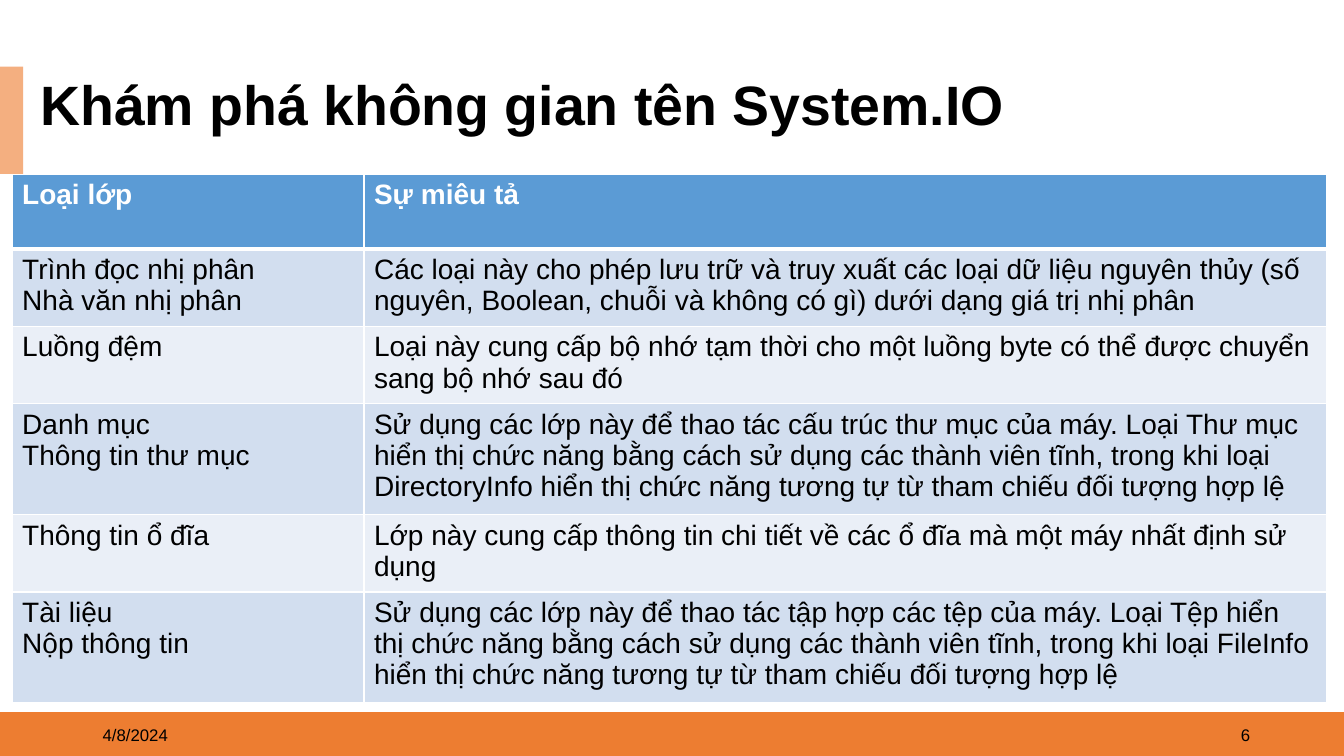
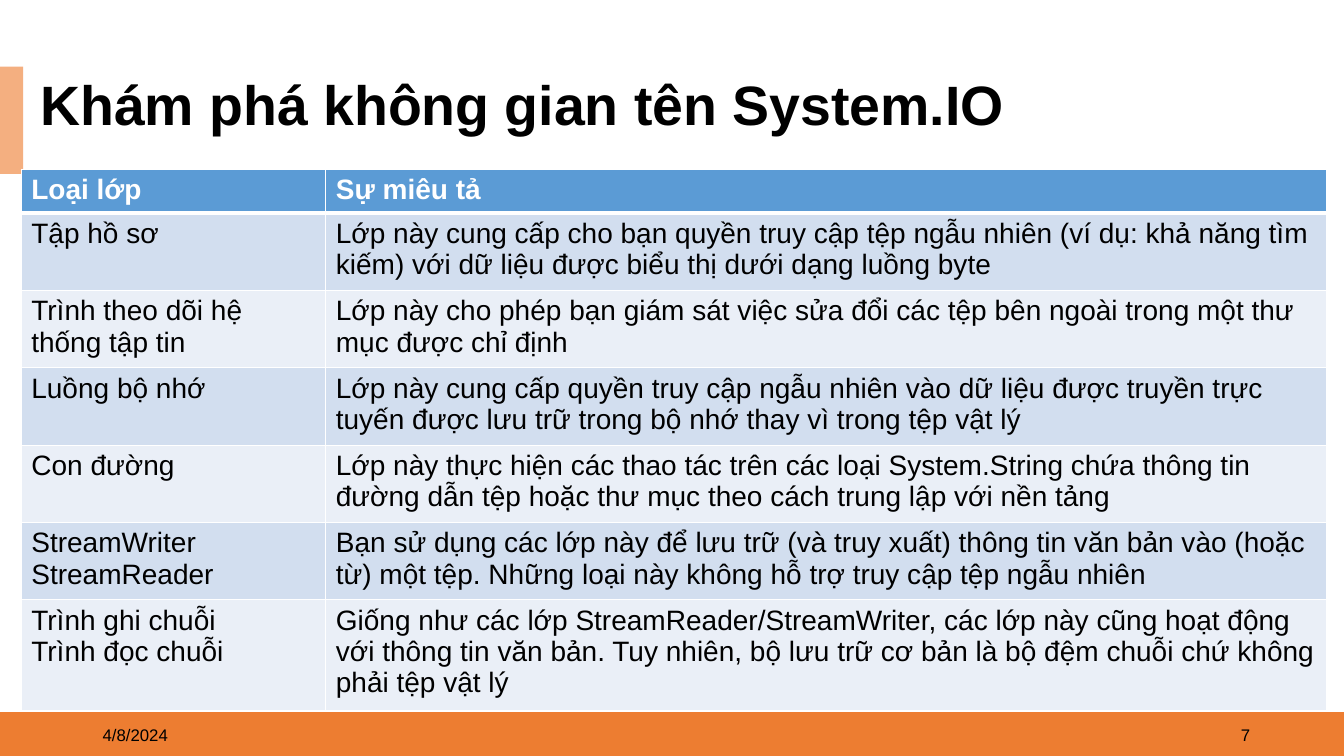
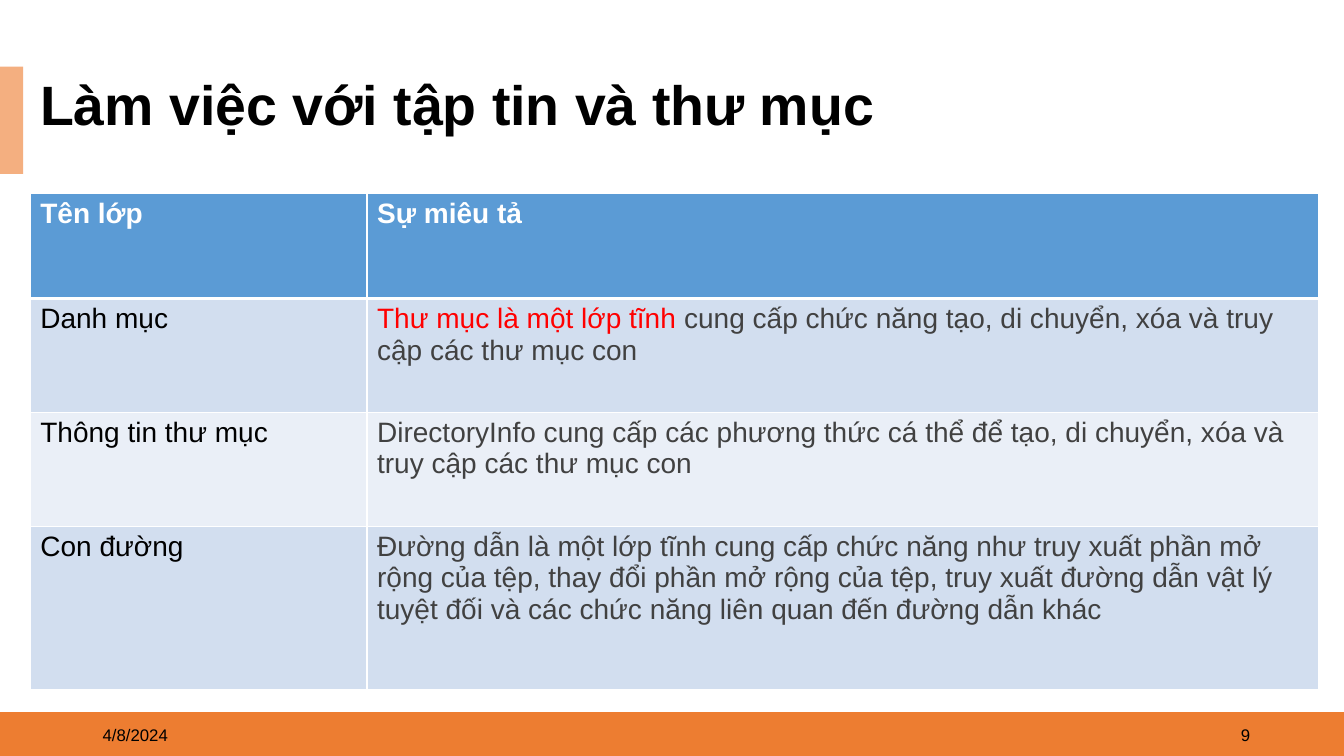
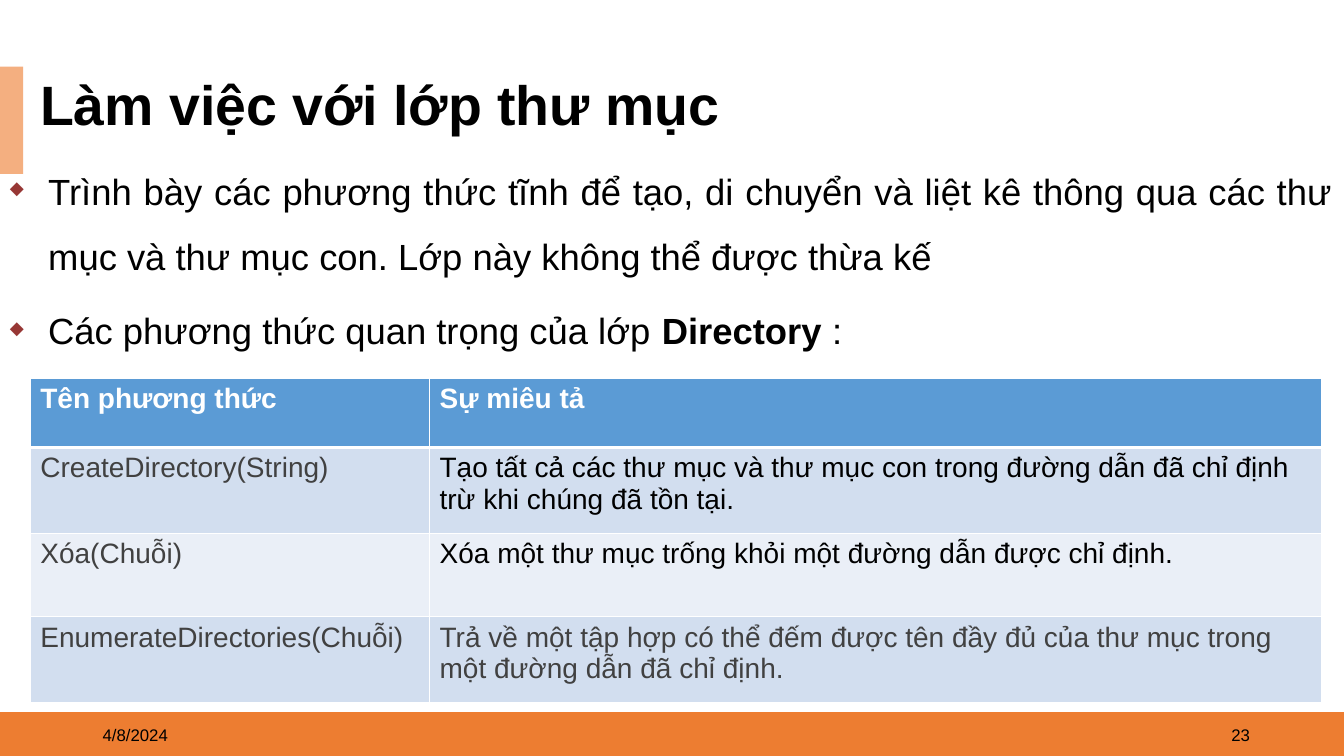
from lxml import etree
from pptx import Presentation
from pptx.dml.color import RGBColor
from pptx.enum.shapes import MSO_SHAPE
from pptx.enum.text import MSO_ANCHOR, PP_ALIGN
from pptx.oxml.ns import qn
from pptx.util import Inches, Pt

RECTANGLE = MSO_SHAPE.RECTANGLE
MIDDLE = MSO_ANCHOR.MIDDLE
LEFT, RIGHT, JUSTIFY = PP_ALIGN.LEFT, PP_ALIGN.RIGHT, PP_ALIGN.JUSTIFY

FONT = "Arial"
WHITE, BLACK, GRAY, RED = "FFFFFF", "000000", "414141", "FF0000"
ORANGE, PEACH, BULLET = "ED7D31", "F4AF80", "973735"
HEADER, STRIPES = "5B9BD5", ("EAEFF7", "D2DEEF")
WIDTH, HEIGHT = Inches(13.33), Inches(7.5)


def share(left, top, width, height):
    return [int(part * whole / 100) for part, whole in
            zip((left, top, width, height), (WIDTH, HEIGHT, WIDTH, HEIGHT))]


def add_span(para, text, size, color, bold=False):
    span = para.add_run()
    span.text = text
    span.font.name = FONT
    span.font.size = Pt(size)
    span.font.bold = bold
    span.font.color.rgb = RGBColor.from_string(color)


BANDS = [((0, 94.2, 100, 5.8), ORANGE), ((0, 8.8, 1.72, 14.2), PEACH)]
DATE = "4/8/2024"

EXPLORE = "Khám phá không gian tên System.IO"
DESCRIPTION = "Sự miêu tả"

PAGES = [
    {
        "number": "6", "title": EXPLORE, "title_width": 77,
        "corner": (0.9, 23.07), "columns": (26.18, 71.64),
        "rows": (9.87, 9.87, 9.87, 14.13, 9.87, 14.13),
        "cells": [
            ("Loại lớp", DESCRIPTION),
            ("Trình đọc nhị phân\nNhà văn nhị phân",
             "Các loại này cho phép lưu trữ và truy xuất các loại dữ liệu nguyên thủy (số nguyên, Boolean, chuỗi và không có gì) dưới dạng giá trị nhị phân"),
            ("Luồng đệm",
             "Loại này cung cấp bộ nhớ tạm thời cho một luồng byte có thể được chuyển sang bộ nhớ sau đó"),
            ("Danh mục\nThông tin thư mục",
             "Sử dụng các lớp này để thao tác cấu trúc thư mục của máy. Loại Thư mục hiển thị chức năng bằng cách sử dụng các thành viên tĩnh, trong khi loại DirectoryInfo hiển thị chức năng tương tự từ tham chiếu đối tượng hợp lệ"),
            ("Thông tin ổ đĩa",
             "Lớp này cung cấp thông tin chi tiết về các ổ đĩa mà một máy nhất định sử dụng"),
            ("Tài liệu\nNộp thông tin",
             "Sử dụng các lớp này để thao tác tập hợp các tệp của máy. Loại Tệp hiển thị chức năng bằng cách sử dụng các thành viên tĩnh, trong khi loại FileInfo hiển thị chức năng tương tự từ tham chiếu đối tượng hợp lệ"),
        ],
    },
    {
        "number": "7", "title": EXPLORE, "title_width": 77,
        "corner": (1.58, 22.4), "columns": (22.66, 74.49),
        "rows": (5.47, 9.6, 9.6, 9.6, 9.6, 9.6, 13.73),
        "cells": [
            ("Loại lớp", DESCRIPTION),
            ("Tập hồ sơ",
             "Lớp này cung cấp cho bạn quyền truy cập tệp ngẫu nhiên (ví dụ: khả năng tìm kiếm) với dữ liệu được biểu thị dưới dạng luồng byte"),
            ("Trình theo dõi hệ thống tập tin",
             "Lớp này cho phép bạn giám sát việc sửa đổi các tệp bên ngoài trong một thư mục được chỉ định"),
            ("Luồng bộ nhớ",
             "Lớp này cung cấp quyền truy cập ngẫu nhiên vào dữ liệu được truyền trực tuyến được lưu trữ trong bộ nhớ thay vì trong tệp vật lý"),
            ("Con đường",
             "Lớp này thực hiện các thao tác trên các loại System.String chứa thông tin đường dẫn tệp hoặc thư mục theo cách trung lập với nền tảng"),
            ("StreamWriter StreamReader",
             "Bạn sử dụng các lớp này để lưu trữ (và truy xuất) thông tin văn bản vào (hoặc từ) một tệp. Những loại này không hỗ trợ truy cập tệp ngẫu nhiên"),
            ("Trình ghi chuỗi\nTrình đọc chuỗi",
             "Giống như các lớp StreamReader/StreamWriter, các lớp này cũng hoạt động với thông tin văn bản. Tuy nhiên, bộ lưu trữ cơ bản là bộ đệm chuỗi chứ không phải tệp vật lý"),
        ],
    },
    {
        "number": "9", "title": "Làm việc với tập tin và thư mục", "title_width": 72.9,
        "corner": (2.25, 25.6), "columns": (25.06, 70.82),
        "rows": (13.87, 15.07, 15.07, 21.6),
        "cells": [
            ("Tên lớp", DESCRIPTION),
            ("Danh mục",
             [("Thư mục là một lớp tĩnh ", RED),
              ("cung cấp chức năng tạo, di chuyển, xóa và truy cập các thư mục con", GRAY)]),
            ("Thông tin thư mục",
             [("DirectoryInfo cung cấp các phương thức cá thể để tạo, di chuyển, xóa và truy cập các thư mục con", GRAY)]),
            ("Con đường",
             [("Đường dẫn là một lớp tĩnh cung cấp chức năng như truy xuất phần mở rộng của tệp, thay đổi phần mở rộng của tệp, truy xuất đường dẫn vật lý tuyệt đối và các chức năng liên quan đến đường dẫn khác", GRAY)]),
        ],
    },
    {
        "number": "23", "title": "Làm việc với lớp thư mục", "title_width": 67.7,
        "bullets": [
            [("Trình bày các phương thức tĩnh để tạo, di chuyển và liệt kê thông qua các thư mục và thư mục con. Lớp này không thể được thừa kế", False)],
            [("Các phương thức quan trọng của lớp ", False), ("Directory ", True), (":", False)],
        ],
        "corner": (2.25, 50), "columns": (29.71, 66.39),
        "rows": (9.2, 11.33, 11.07, 11.33),
        "cells": [
            ("Tên phương thức", DESCRIPTION),
            ([("CreateDirectory(String)", GRAY)],
             "Tạo tất cả các thư mục và thư mục con trong đường dẫn đã chỉ định trừ khi chúng đã tồn tại."),
            ([("Xóa(Chuỗi)", GRAY)],
             "Xóa một thư mục trống khỏi một đường dẫn được chỉ định."),
            ([("EnumerateDirectories(Chuỗi)", GRAY)],
             [("Trả về một tập hợp có thể đếm được tên đầy đủ của thư mục trong một đường dẫn đã chỉ định.", GRAY)]),
        ],
    },
]

deck = Presentation()
deck.slide_width, deck.slide_height = WIDTH, HEIGHT
blank = deck.slide_layouts[6]

for content in PAGES:
    page = deck.slides.add_slide(blank)

    for place, color in BANDS:
        band = page.shapes.add_shape(RECTANGLE, *share(*place))
        band.shadow.inherit = False
        band.fill.solid()
        band.fill.fore_color.rgb = RGBColor.from_string(color)
        band.line.fill.background()

    labels = [
        (DATE, (6.9, 94.53, 22.5, 5.33), LEFT, 12, False),
        (content["number"], (71.25, 94.53, 22.5, 5.33), RIGHT, 12, False),
        (content["title"], (2.25, 10, content["title_width"], 8.4), LEFT, 39.6, True),
    ]
    for text, place, alignment, size, is_title in labels:
        box = page.shapes.add_textbox(*share(*place))
        box.text_frame.word_wrap = True
        box.text_frame.vertical_anchor = MIDDLE
        para = box.text_frame.paragraphs[0]
        para.alignment = alignment
        add_span(para, text, size, BLACK, is_title)
        if is_title:
            para.line_spacing = 0.9
            box.fill.solid()
            box.fill.fore_color.rgb = RGBColor.from_string(WHITE)

    if "bullets" in content:
        frame = page.shapes.add_textbox(*share(0, 18.8, 100, 27.6)).text_frame
        frame.word_wrap = True
        for index, spans in enumerate(content["bullets"]):
            para = frame.add_paragraph() if index else frame.paragraphs[0]
            para.alignment = JUSTIFY
            para.line_spacing = 1.5
            para.space_before = para.space_after = Pt(3)
            for text, bold in spans:
                add_span(para, text, 26, BLACK, bold)
            properties = para._p.get_or_add_pPr()
            properties.set("marL", str(Inches(0.38)))
            properties.set("indent", str(-Inches(0.38)))
            bullet_color = etree.SubElement(properties, qn("a:buClr"))
            etree.SubElement(bullet_color, qn("a:srgbClr"), val=BULLET)
            etree.SubElement(properties, qn("a:buSzPct"), val="50000")
            etree.SubElement(properties, qn("a:buChar"), char="◆")

    columns, rows = content["columns"], content["rows"]
    place = share(*content["corner"], sum(columns), sum(rows))
    table = page.shapes.add_table(len(rows), len(columns), *place).table
    table.horz_banding = False
    for column, width in zip(table.columns, columns):
        column.width = int(WIDTH * width / 100)
    for row_index, (row, height) in enumerate(zip(table.rows, rows)):
        row.height = int(HEIGHT * height / 100)
        is_header = row_index == 0
        for cell, value in zip(row.cells, content["cells"][row_index]):
            borders = {"lnL": 1, "lnR": 1,
                       "lnT": 3 if row_index == 1 else 1,
                       "lnB": 3 if is_header else 1}
            for side, points in borders.items():
                border = etree.SubElement(cell._tc.get_or_add_tcPr(), qn("a:" + side), w=str(Pt(points)))
                paint = etree.SubElement(border, qn("a:solidFill"))
                etree.SubElement(paint, qn("a:srgbClr"), val=WHITE)
            cell.fill.solid()
            cell.fill.fore_color.rgb = RGBColor.from_string(HEADER if is_header else STRIPES[row_index % 2])
            if isinstance(value, str):
                color = WHITE if is_header else BLACK
                lines = [[(line, color)] for line in value.split("\n")]
            else:
                lines = [value]
            for index, spans in enumerate(lines):
                para = cell.text_frame.add_paragraph() if index else cell.text_frame.paragraphs[0]
                for text, color in spans:
                    add_span(para, text, 20, color, is_header)

deck.save("out.pptx")
